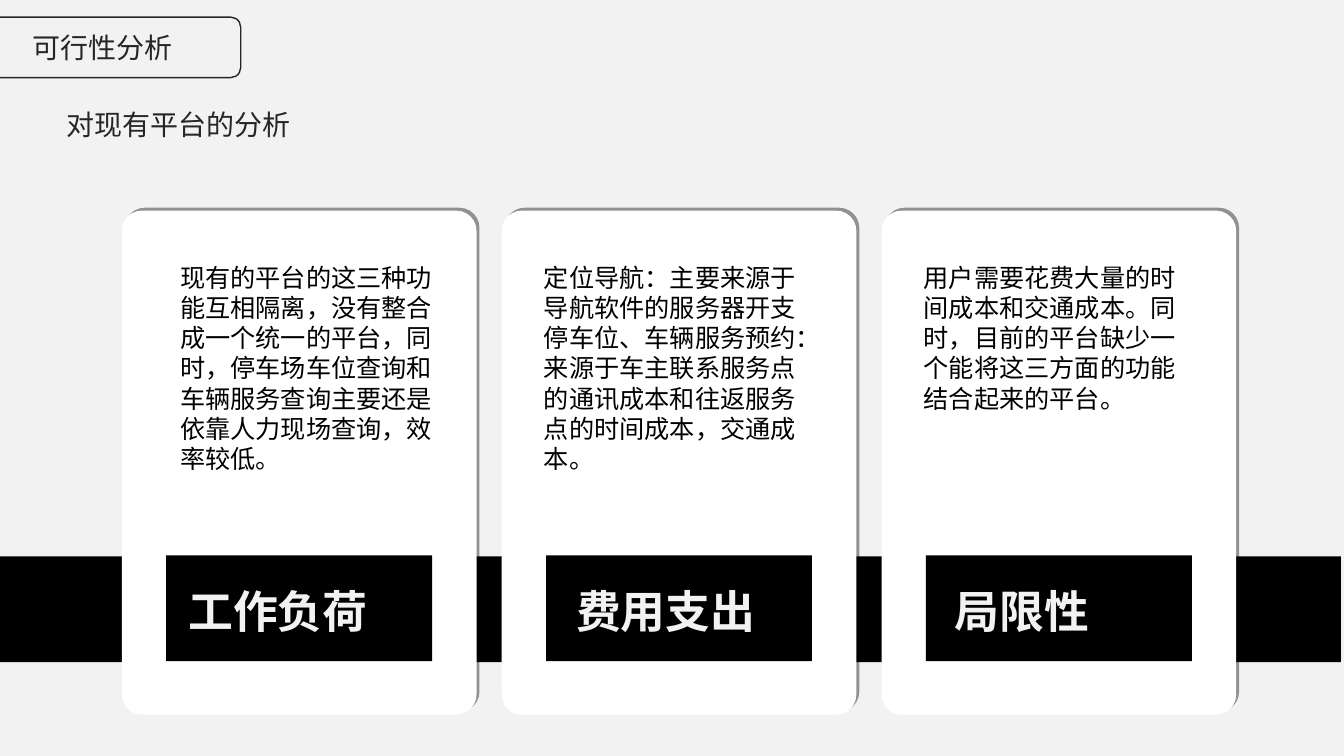
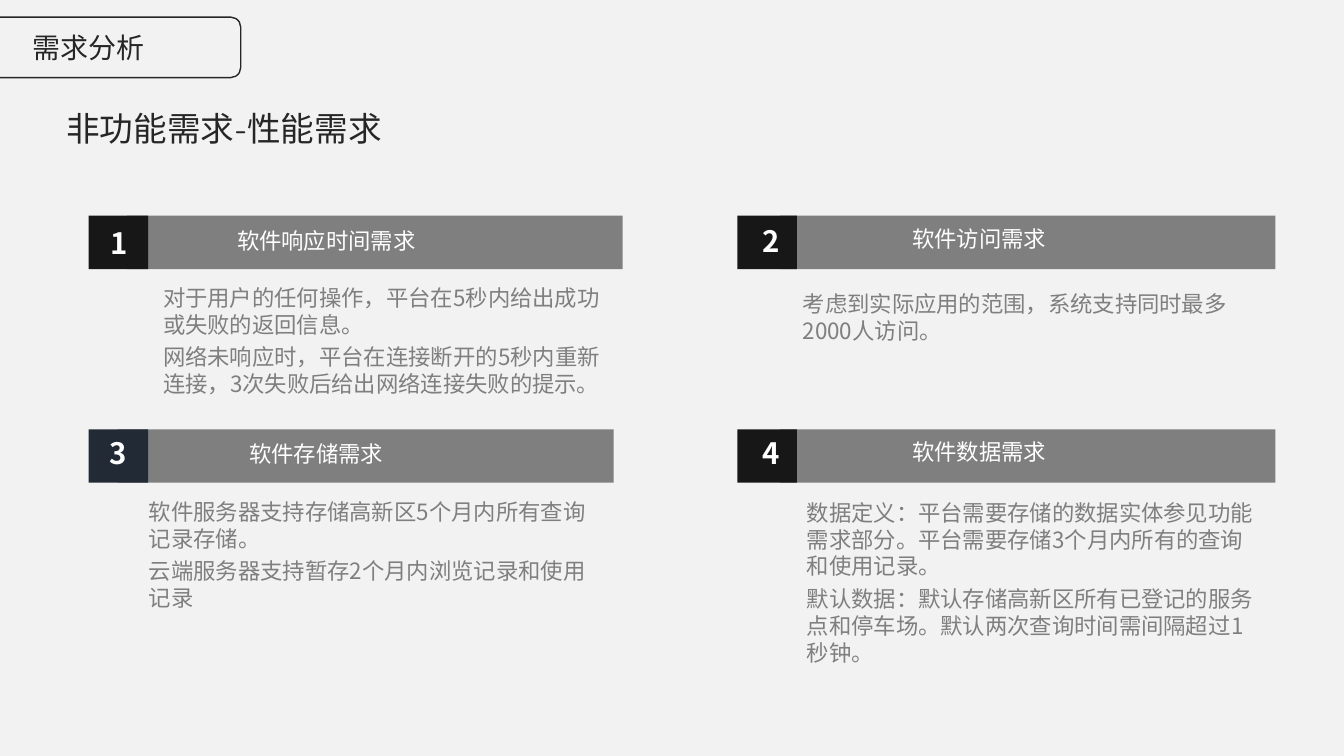
from pptx import Presentation
from pptx.dml.color import RGBColor
from pptx.enum import shapes, text
from pptx.oxml import parse_xml
from pptx.oxml.ns import nsdecls, qn
from pptx.util import Inches, Pt
from lxml import etree

# Content
FEASIBILITY = {"tab": "可行性分析", "heading": "对现有平台的分析", "heading_size": 20}
REQUIREMENTS = {"tab": "需求分析", "heading": "非功能需求-性能需求", "heading_size": 24}

# label, label left, body left, body height, paragraphs
CARDS = [
    ("工作负荷", 1.77, 1.69, 2.2,
     ["现有的平台的这三种功能互相隔离，没有整合成一个统一的平台，同时，停车场车位查询和"
      "车辆服务查询主要还是依靠人力现场查询，效率较低。"]),
    ("费用支出", 5.62, 5.3, 2.5,
     ["定位导航：主要来源于导航软件的服务器开支",
      "停车位、车辆服务预约：来源于车主联系服务点的通讯成本和往返服务点的时间成本，交通成本。"]),
    ("局限性", 9.38, 9.07, 1.6,
     ["用户需要花费大量的时间成本和交通成本。同时，目前的平台缺少一个能将这三方面的功能"
      "结合起来的平台。"]),
]

# Places: bar left, title (left, top), number (left, top), body (left, top, width, height)
PANELS = [
    {"title": "软件响应时间需求", "bar": 1.26, "title_at": (1.59, 2.2),
     "number_at": (0.92, 2.18), "body_at": (1.52, 2.77, 4.59, 1.97),
     "body": ["对于用户的任何操作，平台在5秒内给出成功或失败的返回信息。",
              "网络未响应时，平台在连接断开的5秒内重新连接，3次失败后给出网络连接失败的提示。"]},
    {"title": "软件访问需求", "bar": 7.74, "title_at": (8.07, 2.18),
     "number_at": (7.39, 2.16), "body_at": (7.87, 2.83, 4.68, 0.64),
     "body": ["考虑到实际应用的范围，系统支持同时最多2000人访问。"]},
    {"title": "软件存储需求", "bar": 1.17, "title_at": (1.49, 4.32), "badge": "navy",
     "number_at": (0.91, 4.27), "body_at": (1.38, 4.89, 4.68, 1.55),
     "body": ["软件服务器支持存储高新区5个月内所有查询记录存储。",
              "云端服务器支持暂存2个月内浏览记录和使用记录"]},
    {"title": "软件数据需求", "bar": 7.74, "title_at": (8.07, 4.3),
     "number_at": (7.39, 4.27), "body_at": (7.91, 4.9, 4.68, 2.08),
     "body": ["数据定义：平台需要存储的数据实体参见功能需求部分。平台需要存储3个月内所有的查询"
              "和使用记录。",
              "默认数据：默认存储高新区所有已登记的服务点和停车场。默认两次查询时间需间隔超过1秒钟。"]},
]

# Shared style
COLORS = {"background": "F2F2F2", "black": "000000", "white": "FFFFFF", "ink": "262626",
          "gray": "7F7F7F", "badge": "181717", "navy": "222A35"}
HEADING_FONT, BODY_FONT = "Quicksand", "Noto Sans CJK SC"
LINE_HEIGHT = 1.2
RECTANGLE = shapes.MSO_SHAPE.RECTANGLE
ROUNDED = shapes.MSO_SHAPE.ROUNDED_RECTANGLE


def color(name):
    return RGBColor.from_string(COLORS[name])


def add_box(slide, left, top, width, height, fill=None, line=None, kind=RECTANGLE, radius=None):
    shape = slide.shapes.add_shape(kind, Inches(left), Inches(top), Inches(width), Inches(height))
    shape.shadow.inherit = False
    if fill:
        shape.fill.solid()
        shape.fill.fore_color.rgb = color(fill)
    else:
        shape.fill.background()
    if line:
        shape.line.color.rgb = color(line)
        shape.line.width = Pt(1)
    else:
        shape.line.fill.background()
    if radius is not None:
        shape.adjustments[0] = radius / min(width, height)
    return shape


def add_text(slide, paragraphs, left, top, width, height, size=16, font=BODY_FONT,
             fill="black", bold=False, centered=False, before=0):
    box = slide.shapes.add_textbox(Inches(left), Inches(top), Inches(width), Inches(height))
    frame = box.text_frame
    frame.word_wrap = True
    frame.text = "\n".join(paragraphs)
    for paragraph in frame.paragraphs:
        paragraph.alignment = text.PP_ALIGN.CENTER if centered else text.PP_ALIGN.LEFT
        paragraph.line_spacing = Pt(size * LINE_HEIGHT)
        paragraph.space_before = Pt(before)
        for run in paragraph.runs:
            run.font.size = Pt(size)
            run.font.bold = bold
            run.font.name = font
            run.font.color.rgb = color(fill)
            east_asian = etree.SubElement(run.font._element, qn("a:ea"))
            east_asian.set("typeface", BODY_FONT)
    return box


def add_edge_shadow(shape):
    """Hard shadow that shows at the top and right edges."""
    effects = shape._element.spPr.find(qn("a:effectLst"))
    effects.append(parse_xml(
        f'<a:outerShdw {nsdecls("a")} blurRad="0" dist="{Pt(3)}" dir="{315 * 60000}" '
        f'algn="bl" rotWithShape="0"><a:srgbClr val="{COLORS["black"]}">'
        '<a:alpha val="40000"/></a:srgbClr></a:outerShdw>'))


def add_slide(presentation, header):
    slide = presentation.slides.add_slide(presentation.slide_layouts[6])
    slide.background.fill.solid()
    slide.background.fill.fore_color.rgb = color("background")
    add_box(slide, -0.57, 0.17, 2.96, 0.6, line="ink", kind=ROUNDED, radius=0.1)
    add_text(slide, [header["tab"]], 0.22, 0.25, 2, 0.44, size=20, font=HEADING_FONT, fill="ink")
    add_text(slide, [header["heading"]], 0.56, 1.02, 6, 0.5, size=header["heading_size"],
             font=HEADING_FONT, fill="ink")
    return slide


presentation = Presentation()
presentation.slide_width, presentation.slide_height = Inches(13.34), Inches(7.5)

# Slide 1: three cards over a black band
slide = add_slide(presentation, FEASIBILITY)
add_box(slide, 0, 5.52, 13.31, 1.05, fill="black")
CARD_LEFT, CARD_STEP, CARD_WIDTH, LABEL_WIDTH = 1.21, 3.77, 3.52, 2.64
for index, (label, label_left, body_left, body_height, body) in enumerate(CARDS):
    left = CARD_LEFT + index * CARD_STEP
    card = add_box(slide, left, 2.09, CARD_WIDTH, 5, fill="white", kind=ROUNDED, radius=0.2)
    add_edge_shadow(card)
    add_box(slide, left + (CARD_WIDTH - LABEL_WIDTH) / 2, 5.51, LABEL_WIDTH, 1.05, fill="black")
    add_text(slide, [label], label_left, 5.74, 2.49, 0.64, size=32, font=HEADING_FONT,
             fill="background", bold=True)
    add_text(slide, body, body_left, 2.55, 2.88, body_height, size=18)

# Slide 2: four numbered panels, two by two
slide = add_slide(presentation, REQUIREMENTS)
BADGE_LEFTS, BAR_TOPS, BAR_HEIGHT = (0.88, 7.32), (2.14, 4.26), 0.53
for index, panel in enumerate(PANELS):
    row, column = divmod(index, 2)
    top = BAR_TOPS[row]
    add_box(slide, panel["bar"], top, 4.92, BAR_HEIGHT, fill="gray")
    add_text(slide, panel["body"], *panel["body_at"], fill="gray", before=4)
    add_text(slide, [panel["title"]], *panel["title_at"], 3.3, 0.37, fill="white",
             centered=True, before=4)
    add_box(slide, BADGE_LEFTS[column], top, 0.59, BAR_HEIGHT, fill=panel.get("badge", "badge"))
    add_text(slide, [str(index + 1)], *panel["number_at"], 0.52, 0.45, size=21, fill="white",
             bold=True, centered=True)

presentation.save("out.pptx")
